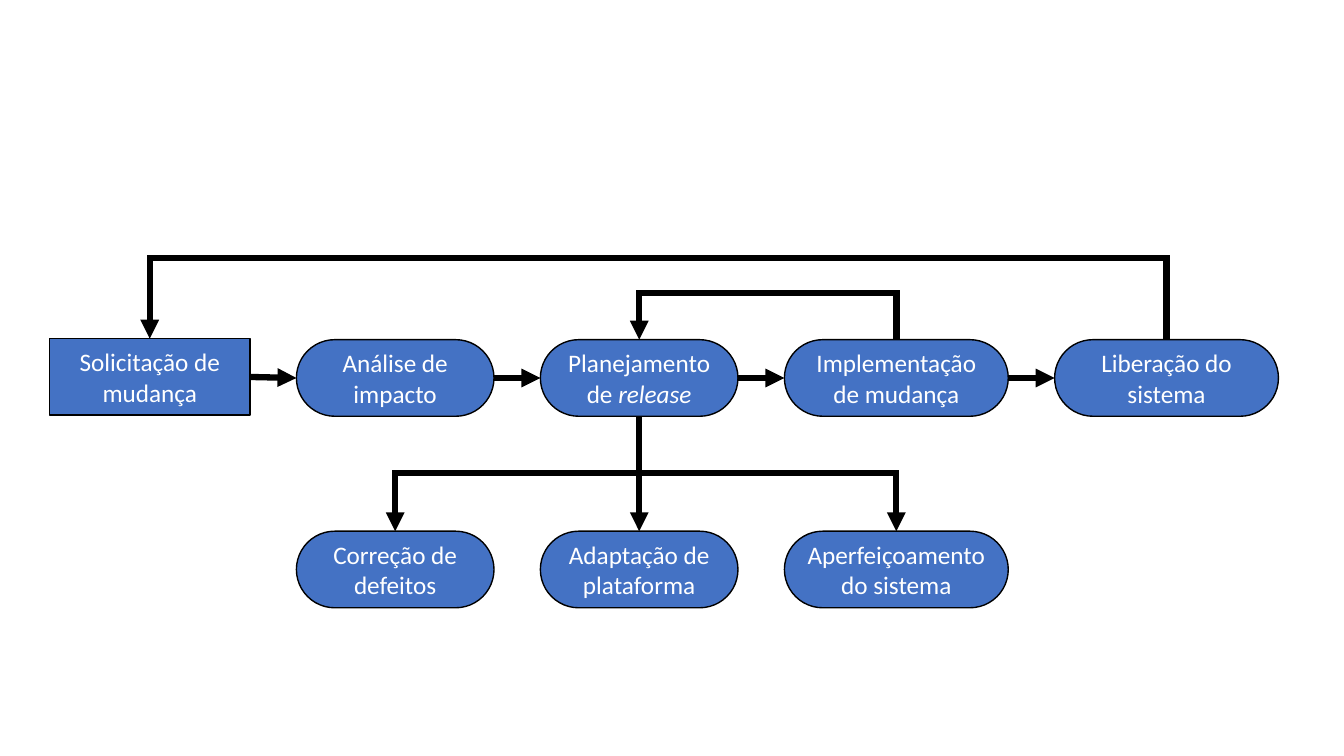
from lxml.etree import SubElement
from pptx import Presentation
from pptx.dml.color import RGBColor
from pptx.enum.shapes import MSO_CONNECTOR as Connector, MSO_SHAPE as Shape
from pptx.enum.text import MSO_ANCHOR as Anchor, PP_ALIGN as Align
from pptx.oxml.ns import qn
from pptx.util import Inches, Pt

COLORS = {"box": "4472C4", "line": "000000", "text": "FFFFFF"}
COLUMNS = [(0.49, 1.99), (2.94, 1.96), (5.36, 1.96), (7.78, 2.22), (10.46, 2.22)]
BOX_HEIGHT = 0.76
TOP, LEFT, BOTTOM, RIGHT = range(4)


def color(name):
    return RGBColor.from_string(COLORS[name])


def add_text(box, *spans, size=18, font="Calibri", fill="text", align=Align.CENTER):
    frame = box.text_frame
    frame.word_wrap = True
    frame.vertical_anchor = Anchor.MIDDLE
    para = frame.paragraphs[0]
    para.alignment = align
    for text, italic in spans:
        span = para.add_run()
        span.text = text
        span.font.size = Pt(size)
        span.font.name = font
        span.font.italic = italic
        span.font.color.rgb = color(fill)


def add_step(page, column, top, *spans, kind=Shape.ROUNDED_RECTANGLE):
    left, width = COLUMNS[column]
    box = page.shapes.add_shape(
        kind, Inches(left), Inches(top), Inches(width), Inches(BOX_HEIGHT))
    box.shadow.inherit = False
    if kind == Shape.ROUNDED_RECTANGLE:
        box.adjustments[0] = 0.5
    box.fill.solid()
    box.fill.fore_color.rgb = color("box")
    box.line.color.rgb = color("line")
    box.line.width = Pt(1)
    add_text(box, *spans)
    return box


def style_arrow(arrow, *ends):
    arrow.line.color.rgb = color("line")
    arrow.line.width = Pt(4.5)
    line = arrow.line._get_or_add_ln()
    SubElement(line, qn("a:miter"), lim="800000")
    for end in ends:
        SubElement(line, qn(f"a:{end}"), type="triangle")


def add_arrow(page, start, start_side, finish, finish_side):
    arrow = page.shapes.add_connector(Connector.STRAIGHT, 0, 0, 0, 0)
    arrow.begin_connect(start, start_side)
    arrow.end_connect(finish, finish_side)
    style_arrow(arrow, "tailEnd")
    SubElement(arrow._element.spPr, qn("a:effectLst"))


def add_bent_arrow(page, start, finish, level, *ends):
    start_x, finish_x = (box.left + box.width // 2 for box in (start, finish))
    builder = page.shapes.build_freeform(start_x, start.top)
    builder.add_line_segments(
        [(start_x, Inches(level)), (finish_x, Inches(level)), (finish_x, finish.top)],
        close=False)
    arrow = builder.convert_to_shape()
    arrow.shadow.inherit = False
    arrow.fill.background()
    style_arrow(arrow, *ends)


def add_process(page, top):
    request = add_step(page, 0, top - 0.01, ("Solicitação de mudança", False),
                       kind=Shape.RECTANGLE)
    analysis = add_step(page, 1, top, ("Análise de impacto", False))
    planning = add_step(page, 2, top, ("Planejamento de ", False), ("release", True))
    change = add_step(page, 3, top, ("Implementação de mudança", False))
    release = add_step(page, 4, top, ("Liberação do sistema", False))
    steps = [request, analysis, planning, change, release]
    for start, finish in zip(steps, steps[1:]):
        add_arrow(page, start, RIGHT, finish, LEFT)
    add_bent_arrow(page, change, planning, top - 0.46, "tailEnd")
    add_bent_arrow(page, release, request, top - 0.81, "tailEnd")
    return planning


def add_change_types(page, planning, top):
    labels = ["Correção de defeitos", "Adaptação de plataforma",
              "Aperfeiçoamento do sistema"]
    defects, platform, system = [
        add_step(page, column, top, (label, False))
        for column, label in enumerate(labels, start=1)]
    add_arrow(page, planning, BOTTOM, platform, TOP)
    add_bent_arrow(page, defects, system, top - 0.58, "headEnd", "tailEnd")


def main():
    deck = Presentation()
    deck.slide_width, deck.slide_height = Inches(13.33), Inches(7.5)
    page = deck.slides.add_slide(deck.slide_layouts[6])
    planning = add_process(page, 3.37)
    add_change_types(page, planning, 5.27)
    deck.save("out.pptx")


if __name__ == "__main__":
    main()
